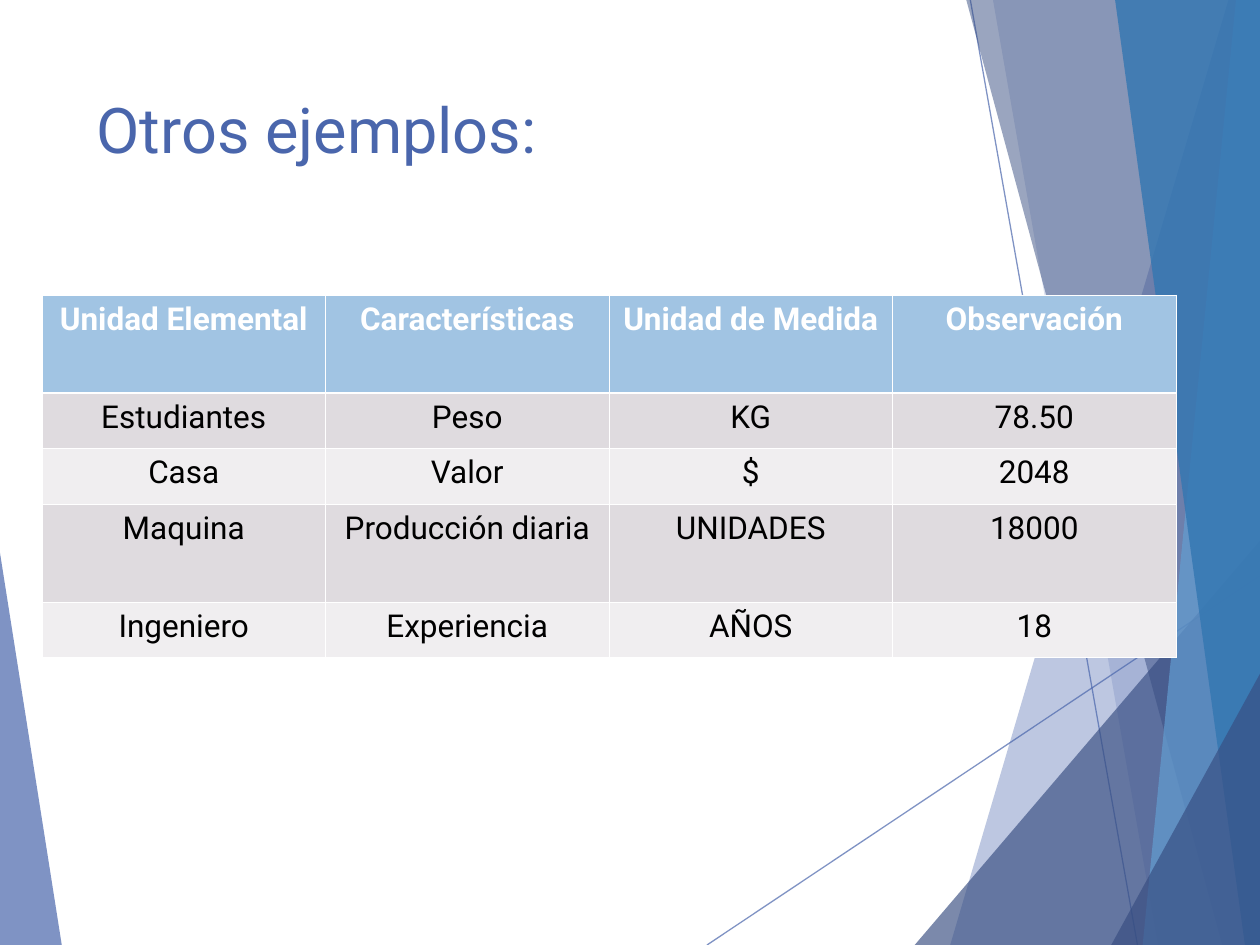
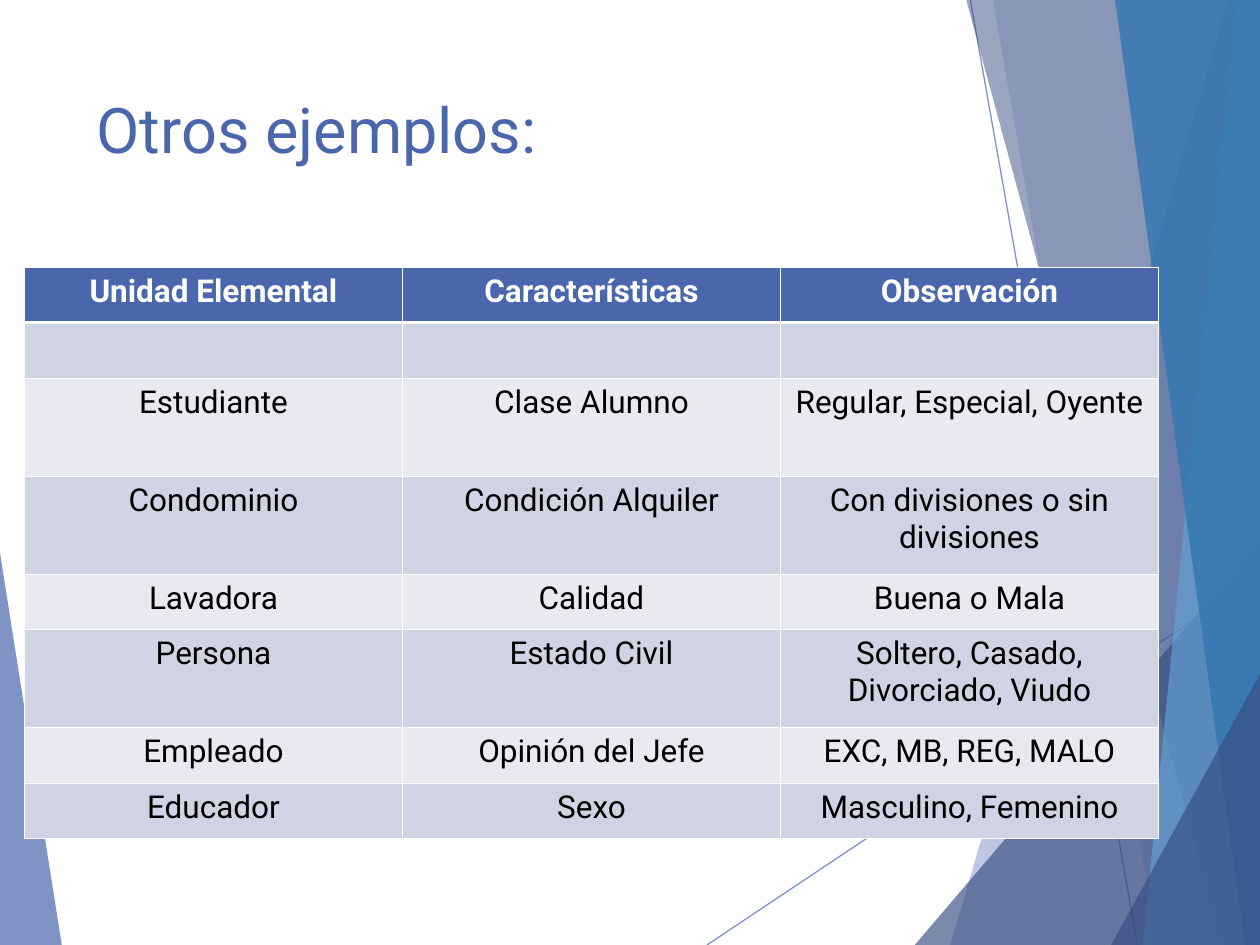
import pptx
import pptx.dml.color
import pptx.enum.shapes
import pptx.enum.text
import pptx.oxml
import pptx.oxml.ns
import pptx.util
import lxml.etree

WIDTH, HEIGHT = 720, 540
FONT = "Roboto"
BLUE, NAVY, SKY, OCEAN = "4A66AC", "374D81", "629DD1", "3477B2"
WHITE, BLACK = "FFFFFF", "000000"
TITLE_BOX = dict(left=48, top=48, width=500, height=104)
TITLE_TEXT = dict(size=36, color=BLUE, bold=False)
HEADER_TEXT = dict(size=18, color=WHITE, bold=True)
BODY_TEXT = dict(size=18, color=BLACK, bold=False)
SHORT_ROW, TALL_ROW = 31.75, 56
TABLE_WIDTH = 648
THIN, THICK = 0.45, 1.47

RAYS = [((404, 540), (720, 329)), ((554.5, 0), (650, 540))]
# top of the slanted edge, bottom of the slanted edge, slide side, colour, opacity
BANDS = [
    ((0, 316), (35.3, 540), 0, BLUE, 70),
    ((702, 0), (543, 540), WIDTH, BLUE, 36),
    ((567.4, 0), (661.7, 540), WIDTH, BLUE, 20),
    ((720, 309), (522.7, 540), WIDTH, NAVY, 66),
    ((552.2, 0), (698.4, 540), WIDTH, NAVY, 50),
    ((706.3, 0), (653, 540), WIDTH, SKY, 70),
    ((637.2, 0), (711.4, 540), WIDTH, OCEAN, 82),
    ((720, 385), (635, 540), WIDTH, NAVY, 66),
]

EXAMPLES = [
    dict(
        title="Otros ejemplos:",
        left=24, top=168.5,
        header_fill="A1C4E3", row_fills=("DFDBDF", "F0EEF0"),
        tall_rows={0, 3},
        rows=[
            ("Unidad Elemental", "Características", "Unidad de Medida", "Observación"),
            ("Estudiantes", "Peso", "KG", "78.50"),
            ("Casa", "Valor", "$", "2048"),
            ("Maquina", "Producción diaria", "UNIDADES", "18000"),
            ("Ingeniero", "Experiencia", "AÑOS", "18"),
        ],
    ),
    dict(
        title="Otros ejemplos:",
        left=14, top=152.5,
        header_fill=BLUE, row_fills=("D0D3E3", "E9EAF1"),
        tall_rows={2, 3, 5},
        rows=[
            ("Unidad Elemental", "Características", "Observación"),
            ("", "", ""),
            ("Estudiante", "Clase Alumno", "Regular, Especial, Oyente"),
            ("Condominio", "Condición Alquiler", "Con divisiones o sin divisiones"),
            ("Lavadora", "Calidad", "Buena o Mala"),
            ("Persona", "Estado Civil", "Soltero, Casado, Divorciado, Viudo"),
            ("Empleado", "Opinión del Jefe", "EXC, MB, REG, MALO"),
            ("Educador", "Sexo", "Masculino, Femenino"),
        ],
    ),
]


def pt(value):
    return pptx.util.Pt(value)


def rgb(value):
    return pptx.dml.color.RGBColor.from_string(value)


def child(parent, tag, **attributes):
    element = lxml.etree.SubElement(parent, pptx.oxml.ns.qn(tag))
    for key, value in attributes.items():
        element.set(key, str(value))
    return element


def set_opacity(shape, percent):
    for color in shape._element.spPr.iter(pptx.oxml.ns.qn("a:srgbClr")):
        child(color, "a:alpha", val=percent * 1000)


def write(frame, text, alignment, style):
    paragraph = frame.paragraphs[0]
    paragraph.text = text
    paragraph.alignment = alignment
    font = paragraph.font
    formats = dict(name=FONT, size=pt(style["size"]), bold=style["bold"])
    for target in [font, *(run.font for run in paragraph.runs)]:
        for key, value in formats.items():
            setattr(target, key, value)
        target.color.rgb = rgb(style["color"])


def draw_backdrop(slide):
    for start, end in RAYS:
        ray = slide.shapes.add_connector(
            pptx.enum.shapes.MSO_CONNECTOR.STRAIGHT, *map(pt, start + end))
        ray.line.color.rgb = rgb(BLUE)
        ray.line.width = pt(0.75)
        set_opacity(ray, 70)
        child(ray._element.spPr, "a:effectLst")
    for top, bottom, side, color, opacity in BANDS:
        outline = [tuple(map(pt, point))
                   for point in (top, bottom, (side, HEIGHT), (side, top[1]))]
        builder = slide.shapes.build_freeform(*outline[0])
        builder.add_line_segments(outline[1:], close=True)
        band = builder.convert_to_shape()
        band.shadow.inherit = False
        band.fill.solid()
        band.fill.fore_color.rgb = rgb(color)
        band.line.fill.background()
        set_opacity(band, opacity)


def add_title(slide, text):
    title = slide.shapes.title
    for key, value in TITLE_BOX.items():
        setattr(title, key, pt(value))
    formats = dict(vertical_anchor=pptx.enum.text.MSO_ANCHOR.TOP,
                   auto_size=pptx.enum.text.MSO_AUTO_SIZE.NONE, word_wrap=True)
    for key, value in formats.items():
        setattr(title.text_frame, key, value)
    write(title.text_frame, text, pptx.enum.text.PP_ALIGN.LEFT, TITLE_TEXT)


def add_borders(cell, row_index):
    properties = cell._tc.get_or_add_tcPr()
    widths = {"L": THIN, "R": THIN,
              "T": THICK if row_index == 1 else THIN,
              "B": THICK if row_index == 0 else THIN}
    for side, width in widths.items():
        border = child(properties, f"a:ln{side}", w=int(pt(width)))
        child(child(border, "a:solidFill"), "a:srgbClr", val=WHITE)


def add_examples(slide, example):
    rows = example["rows"]
    heights = [TALL_ROW if index in example["tall_rows"] else SHORT_ROW
               for index in range(len(rows))]
    table = slide.shapes.add_table(
        len(rows), len(rows[0]), pt(example["left"]), pt(example["top"]),
        pt(TABLE_WIDTH), pt(sum(heights))).table
    for column in table.columns:
        column.width = pt(TABLE_WIDTH / len(rows[0]))
    for index, (height, values) in enumerate(zip(heights, rows)):
        table.rows[index].height = pt(height)
        fill = example["row_fills"][(index - 1) % 2] if index else example["header_fill"]
        for cell, value in zip(table.rows[index].cells, values):
            add_borders(cell, index)
            cell.fill.solid()
            cell.fill.fore_color.rgb = rgb(fill)
            write(cell.text_frame, value, pptx.enum.text.PP_ALIGN.CENTER,
                  BODY_TEXT if index else HEADER_TEXT)


def main():
    deck = pptx.Presentation()
    deck.slide_width, deck.slide_height = pt(WIDTH), pt(HEIGHT)
    for example in EXAMPLES:
        slide = deck.slides.add_slide(deck.slide_layouts[5])
        draw_backdrop(slide)
        add_title(slide, example["title"])
        add_examples(slide, example)
    deck.save("out.pptx")


if __name__ == "__main__":
    main()
